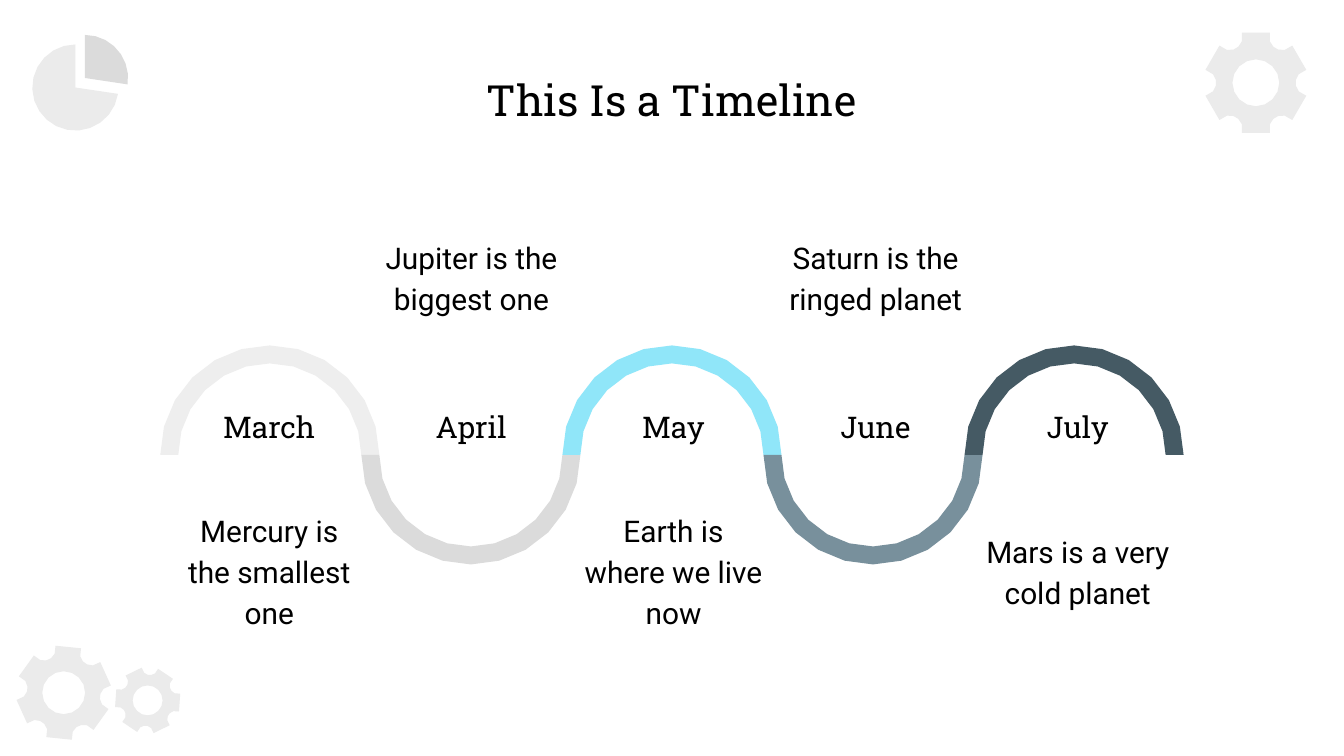
from math import cos, radians, sin

from pptx import Presentation
from pptx import util as u
from pptx.dml.color import RGBColor
from pptx.enum import text

BLACK = RGBColor(0x00, 0x00, 0x00)
PALE = RGBColor(0xEB, 0xEB, 0xEB)
MIST = RGBColor(0xEE, 0xEE, 0xEE)
SILVER = RGBColor(0xDB, 0xDB, 0xDB)
SKY = RGBColor(0x90, 0xE6, 0xF9)
STEEL = RGBColor(0x78, 0x90, 0x9C)
SLATE = RGBColor(0x45, 0x5A, 0x64)

TITLE_FONT = {"name": "Roboto Slab", "size": u.Pt(23)}
MONTH_FONT = {"name": "Roboto Slab", "size": u.Pt(16)}
CAPTION_FONT = {"name": "Roboto", "size": u.Pt(16)}

STEPS = [
    ("March", "Mercury is the smallest one", MIST),
    ("April", "Jupiter is the biggest one", SILVER),
    ("May", "Earth is where we live now", SKY),
    ("June", "Saturn is the ringed planet", STEEL),
    ("July", "Mars is a very cold planet", SLATE),
]


def polar(cx, cy, radius, angle):
    """Point at an angle in degrees, clockwise from the top."""
    return cx + radius * sin(radians(angle)), cy - radius * cos(radians(angle))


def arc(cx, cy, radius, start, end, step=15):
    pieces = round(abs(end - start) / step)
    sweep = (end - start) / pieces
    return [polar(cx, cy, radius, start + sweep * i) for i in range(pieces + 1)]


def add_outline(slide, contours, colour):
    """Filled outline from contours given in centimetres."""
    contours = [[(u.Cm(x), u.Cm(y)) for x, y in contour] for contour in contours]
    builder = slide.shapes.build_freeform(*contours[0][0])
    for number, contour in enumerate(contours):
        if number:
            builder.move_to(*contour[0])
        builder.add_line_segments(contour[1:], close=True)
    shape = builder.convert_to_shape()
    shape.shadow.inherit = False
    shape.fill.solid()
    shape.fill.fore_color.rgb = colour
    shape.line.fill.background()


def add_label(slide, left, top, width, height, words, font, spacing=None):
    box = slide.shapes.add_textbox(*map(u.Cm, (left, top, width, height)))
    frame_format = {
        "word_wrap": True,
        "auto_size": text.MSO_AUTO_SIZE.NONE,
        "vertical_anchor": text.MSO_ANCHOR.MIDDLE,
        **{f"margin_{side}": u.Cm(0.25) for side in ("left", "top", "right", "bottom")},
    }
    for key, value in frame_format.items():
        setattr(box.text_frame, key, value)
    paragraph = box.text_frame.paragraphs[0]
    paragraph.alignment = text.PP_ALIGN.CENTER
    paragraph.line_spacing = spacing
    run = paragraph.add_run()
    run.text = words
    for key, value in font.items():
        setattr(run.font, key, value)
    run.font.color.rgb = BLACK


def add_gear(slide, left, top, size, turn=0):
    """Six-toothed gear with a round hole."""
    cx, cy, radius = left + size / 2, top + size / 2, size * 0.515
    tooth = [(0.77, -26), (0.84, -18.7), (1, -15.6), (1, 15.6), (0.84, 18.7), (0.77, 26)]
    rim = [polar(cx, cy, radius * reach, turn + 60 * n + angle)
           for n in range(6) for reach, angle in tooth]
    hole = arc(cx, cy, radius * 0.45, 360, 0, step=22.5)[:-1]
    add_outline(slide, [rim, hole], PALE)


def add_pie(slide, left, top, size):
    """Pie with its upper right slice pulled out."""
    radius, slice_end = size * 0.45, 98.5
    near, far = radius, size - radius
    for x, y, start, end, colour in [
        (left + near, top + far, slice_end, 360, PALE),
        (left + far, top + near, 0, slice_end, SILVER),
    ]:
        add_outline(slide, [[(x, y)] + arc(x, y, radius, start, end)], colour)


def add_timeline(slide, left, top, width, height):
    """Wave of half rings with months inside and captions opposite."""
    thickness = 0.34
    label_pitch = 3.82
    radius = height / 2
    middle = top + radius
    pitch = (width - height) / (len(STEPS) - 1)
    for number, (month, caption, colour) in enumerate(STEPS):
        cx = left + radius + pitch * number
        rises = number % 2 == 0
        start = -90 if rises else 90
        ring = (arc(cx, middle, radius, start, start + 180)
                + arc(cx, middle, radius - thickness, start + 180, start))
        add_outline(slide, [ring], colour)
        label_x = left + 2.06 + label_pitch * number
        add_label(slide, label_x - 1.67, top + 0.91, 3.33, 1.25, month, MONTH_FONT)
        caption_top = top + 3.38 if rises else top - 2.17
        add_label(slide, label_x - 2.02, caption_top, 4.04, 1.7, caption, CAPTION_FONT, 1.15)


def main():
    deck = Presentation()
    deck.slide_width, deck.slide_height = u.Cm(25.4), u.Cm(14.29)
    slide = deck.slides.add_slide(deck.slide_layouts[6])

    # Corner decorations
    add_gear(slide, 0.33, 12.22, 1.75, turn=5.7)
    add_gear(slide, 2.18, 12.63, 1.22, turn=34)
    add_gear(slide, 22.78, 0.61, 1.91)
    add_pie(slide, 0.61, 0.66, 1.81)

    # Title and timeline
    add_label(slide, 1.98, 1.52, 21.44, 0.71, "This Is a Timeline", TITLE_FONT)
    add_timeline(slide, 3.03, 6.53, 19.34, 4.14)

    deck.save("out.pptx")


if __name__ == "__main__":
    main()
